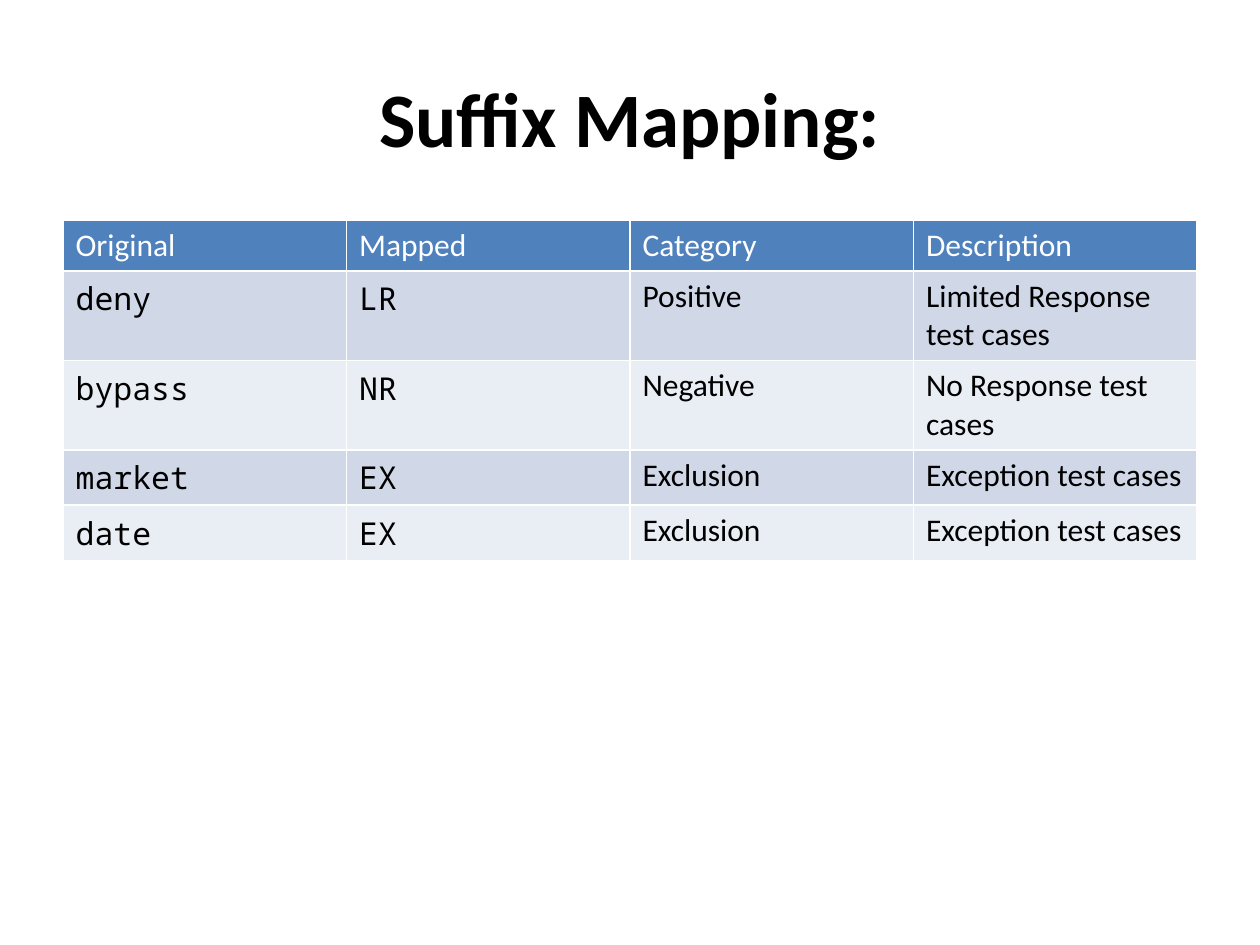
from dataclasses import dataclass

from pptx import Presentation
from pptx.dml.color import RGBColor as RGB
from pptx.enum.text import MSO_ANCHOR as Anchor, PP_ALIGN as Align
from pptx.util import Inches, Pt


@dataclass(frozen=True)
class Theme:
    text: str = "000000"
    header_text: str = "FFFFFF"
    header_fill: str = "4F81BD"
    bands: tuple = ("D0D8E8", "E9EDF4")
    sans: str = "Calibri"
    mono: str = "Noto Sans Mono"
    title_size: int = 44
    table_size: int = 18


THEME = Theme()
WIDTH, HEIGHT = Inches(10), Inches(7.5)
MARGIN = 0.05  # share of the slide's width

HEADINGS = ("Original", "Mapped", "Category", "Description")
MAPPINGS = (
    ("deny", "LR", "Positive", "Limited Response test cases"),
    ("bypass", "NR", "Negative", "No Response test cases"),
    ("market", "EX", "Exclusion", "Exception test cases"),
    ("date", "EX", "Exclusion", "Exception test cases"),
)
CODE_COLUMNS = 2  # leading columns set in the monospaced face
ROW_HEIGHTS = (0.4, 0.71, 0.71, 0.44, 0.44)


def share_box(left, top, width, height):
    """Turn shares of the slide into a box of lengths."""
    return (int(WIDTH * left), int(HEIGHT * top),
            int(WIDTH * width), int(HEIGHT * height))


def write(frame, wording, color, **font_format):
    paragraph = frame.paragraphs[0]
    run = paragraph.add_run()
    run.text = wording
    for attribute, value in font_format.items():
        setattr(run.font, attribute, value)
    run.font.color.rgb = RGB.from_string(color)
    return paragraph


def add_title(slide, box, wording):
    frame = slide.shapes.add_textbox(*box).text_frame
    frame.word_wrap = True
    frame.vertical_anchor = Anchor.MIDDLE
    heading = write(frame, wording, THEME.text, name=THEME.sans,
                    size=Pt(THEME.title_size), bold=True)
    heading.alignment = Align.CENTER


def add_mapping_table(slide, box):
    records = (HEADINGS, *MAPPINGS)
    table = slide.shapes.add_table(len(records), len(HEADINGS), *box).table
    for row, height in zip(table.rows, ROW_HEIGHTS):
        row.height = Inches(height)

    for r, record in enumerate(records):
        is_header = r == 0
        fill = THEME.header_fill if is_header else THEME.bands[(r - 1) % 2]
        color = THEME.header_text if is_header else THEME.text
        for c, wording in enumerate(record):
            is_code = not is_header and c < CODE_COLUMNS
            cell = table.cell(r, c)
            cell.fill.solid()
            cell.fill.fore_color.rgb = RGB.from_string(fill)
            write(cell.text_frame, wording, color,
                  name=THEME.mono if is_code else THEME.sans,
                  size=Pt(THEME.table_size), bold=False)


def main():
    deck = Presentation()
    deck.slide_width, deck.slide_height = WIDTH, HEIGHT
    slide = deck.slides.add_slide(deck.slide_layouts[6])
    content_width = 1 - 2 * MARGIN
    add_title(slide, share_box(MARGIN, 0.04, content_width, 1 / 6),
              "Suffix Mapping:")
    add_mapping_table(slide, share_box(MARGIN, 7 / 30, content_width, 0.36))
    deck.save("out.pptx")


if __name__ == "__main__":
    main()
